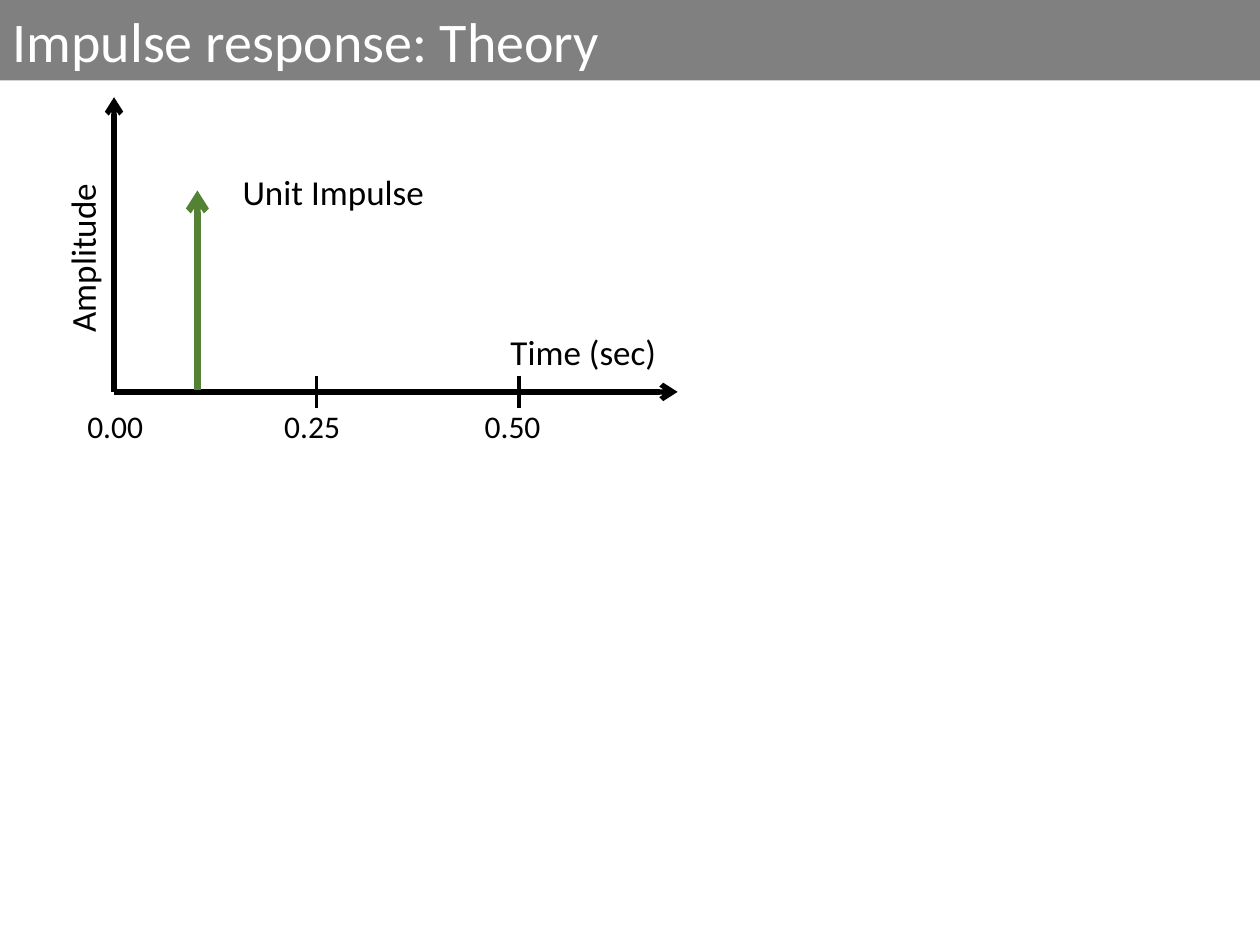
from dataclasses import dataclass

from lxml import etree
from pptx import Presentation
from pptx.dml.color import RGBColor
from pptx.enum.shapes import MSO_CONNECTOR
from pptx.enum.text import MSO_ANCHOR, MSO_AUTO_SIZE, PP_ALIGN
from pptx.oxml.ns import qn
from pptx.util import Cm, Pt

STRAIGHT = MSO_CONNECTOR.STRAIGHT
LEFT, CENTER = PP_ALIGN.LEFT, PP_ALIGN.CENTER
MIDDLE, NO_FIT = MSO_ANCHOR.MIDDLE, MSO_AUTO_SIZE.NONE
TITLE_ONLY = 5


@dataclass(frozen=True)
class Theme:
    font: str = "Calibri"
    bar: RGBColor = RGBColor(0x80, 0x80, 0x80)
    light: RGBColor = RGBColor(0xFF, 0xFF, 0xFF)
    ink: RGBColor = RGBColor(0, 0, 0)
    impulse: RGBColor = RGBColor(0x54, 0x82, 0x35)
    title_size: int = 32
    label_size: int = 20
    tick_size: int = 18
    axis_width: float = 3
    tick_width: float = 2.25
    impulse_width: float = 3.75


THEME = Theme()


def format_text(tf, text, size, color, align):
    tf.text = text
    p = tf.paragraphs[0]
    p.alignment = align
    font = p.runs[0].font
    font.name, font.size, font.color.rgb = THEME.font, Pt(size), color


def add_label(slide, text, box, size, align=CENTER, rotation=0):
    sp = slide.shapes.add_textbox(*map(Cm, box))
    sp.rotation = rotation
    sp.text_frame.word_wrap = True
    format_text(sp.text_frame, text, size, THEME.ink, align)


def add_line(slide, start, end, width, color, arrow=False):
    cxn = slide.shapes.add_connector(STRAIGHT, *map(Cm, start + end))
    cxn.line.color.rgb = color
    cxn.line.width = Pt(width)
    if arrow:
        etree.SubElement(cxn.line._get_or_add_ln(), qn("a:tailEnd"), type="arrow")
    etree.SubElement(cxn._element.spPr, qn("a:effectLst"))


def add_title(slide, text, box):
    sp = slide.shapes.title
    sp.left, sp.top, sp.width, sp.height = map(Cm, box)
    sp.fill.solid()
    sp.fill.fore_color.rgb = THEME.bar
    tf = sp.text_frame
    tf.vertical_anchor = MIDDLE
    tf.auto_size = NO_FIT
    format_text(tf, text, THEME.title_size, THEME.light, LEFT)


def add_plot(slide, box):
    x, y, w, h = box
    base = y + h
    add_line(slide, (x, base), (x + w, base), THEME.axis_width, THEME.ink, True)
    add_line(slide, (x, base), (x, y), THEME.axis_width, THEME.ink, True)

    step, half = 4.08, 0.33
    for i, (text, inset) in enumerate((("0.00", 0.79), ("0.25", 0.9), ("0.50", 0.94))):
        tick = x + i * step
        if i:
            add_line(slide, (tick, base - half), (tick, base + half),
                     THEME.tick_width, THEME.ink)
        add_label(slide, text, (tick - inset, base + 0.18, 1.8, 1.02),
                  THEME.tick_size, LEFT)

    add_label(slide, "Amplitude", (x - 2.49, y + 2.69, 3.7, 1.11),
              THEME.label_size, rotation=270)
    add_label(slide, "Time (sec)", (x + 7.71, y + 4.57, 3.5, 1.11), THEME.label_size)
    add_label(slide, "Unit Impulse", (x + 2.16, y + 1.35, 4.52, 1.11),
              THEME.label_size)
    add_line(slide, (x + 1.68, base - 0.03), (x + 1.68, y + 1.88),
             THEME.impulse_width, THEME.impulse, True)


def main():
    prs = Presentation()
    prs.slide_width, prs.slide_height = Cm(25.4), Cm(19.05)
    slide = prs.slides.add_slide(prs.slide_layouts[TITLE_ONLY])
    add_plot(slide, (2.3, 1.96, 11.36, 5.94))
    add_title(slide, "Impulse response: Theory", (0, 0, 25.4, 1.62))
    prs.save("out.pptx")


if __name__ == "__main__":
    main()
